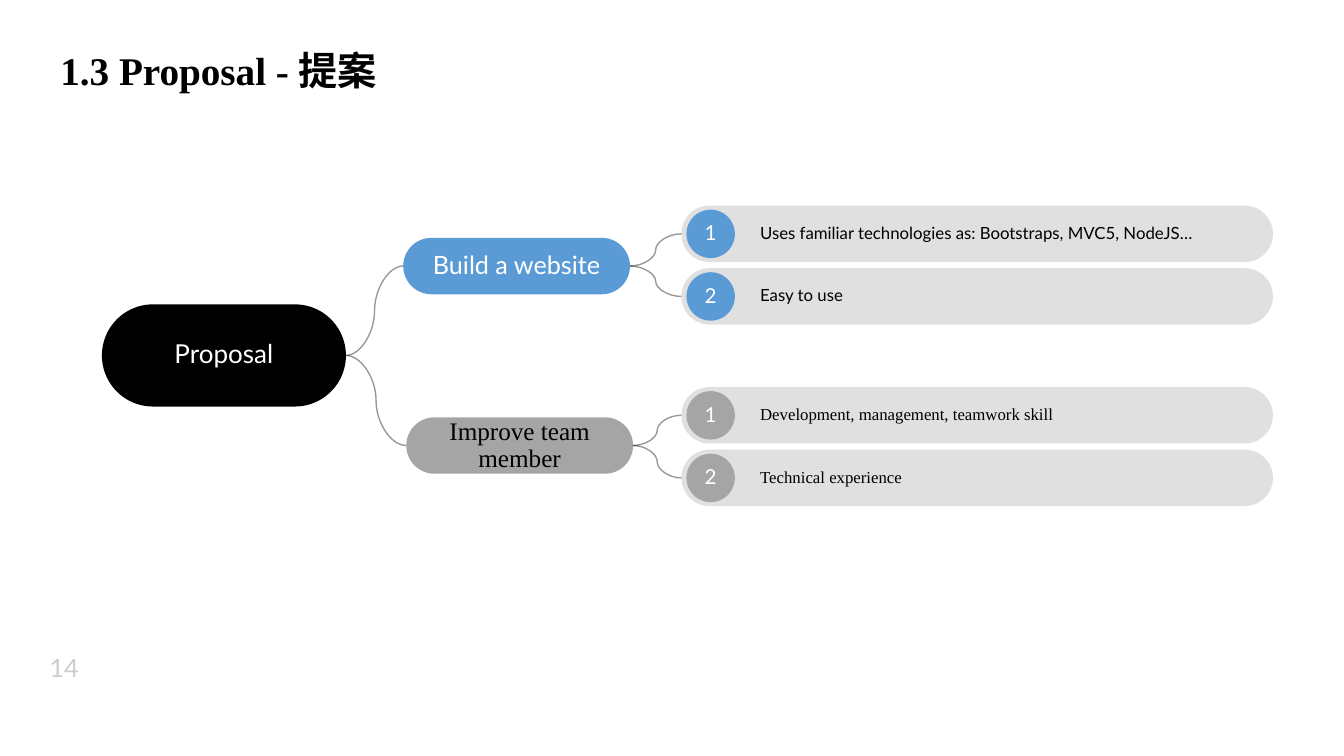
from lxml.etree import SubElement
from pptx import Presentation
from pptx.dml.color import RGBColor
from pptx.enum.shapes import MSO_CONNECTOR, MSO_SHAPE
from pptx.enum.text import MSO_ANCHOR, PP_ALIGN
from pptx.oxml.ns import qn
from pptx.util import Pt

BLACK = RGBColor(0x00, 0x00, 0x00)
WHITE = RGBColor(0xFF, 0xFF, 0xFF)
BLUE = RGBColor(0x5B, 0x9B, 0xD5)
GRAY = RGBColor(0xA5, 0xA5, 0xA5)
SANS, SERIF = "Lato", "Times New Roman"

# Layout in points
TOPIC_W, ROW_H, ROW_PITCH = 162, 40.3, 44.7
BAR_X, BAR_W = 486.7, 422.6
BADGE, BADGE_DX = 34.6, 3.6


def set_alpha(element, percent):
    color = next(element.iter(qn("a:srgbClr")))
    SubElement(color, qn("a:alpha")).set("val", str(percent * 1000))


class MindMap:
    """Holds the slide and draws each kind of element in one style."""

    def __init__(self, slide):
        self.shapes = slide.shapes

    def add_text(self, s, text, size, font=SANS, color=WHITE, bold=False,
                 align=PP_ALIGN.CENTER, spacing=0.9, insets=(3.6,) * 4,
                 wrap=True, anchor=MSO_ANCHOR.MIDDLE):
        tf = s.text_frame
        left, top, right, bottom = map(Pt, insets)
        frame = {"margin_left": left, "margin_top": top, "margin_right": right,
                 "margin_bottom": bottom, "word_wrap": wrap,
                 "vertical_anchor": anchor}
        p = tf.paragraphs[0]
        r = p.add_run()
        r.text = text
        formats = ((tf, frame),
                   (p, {"alignment": align, "line_spacing": spacing}),
                   (r.font, {"size": Pt(size), "name": font, "bold": bold}))
        for target, values in formats:
            for name, value in values.items():
                setattr(target, name, value)
        r.font.color.rgb = color
        return r

    def textbox(self, x, y, w, h, text, size, **style):
        s = self.shapes.add_textbox(Pt(x), Pt(y), Pt(w), Pt(h))
        return self.add_text(s, text, size, align=PP_ALIGN.LEFT, **style)

    def shape(self, kind, x, y, w, h, fill, text, size, **style):
        s = self.shapes.add_shape(kind, Pt(x), Pt(y), Pt(w), Pt(h))
        s.shadow.inherit = False
        s.fill.solid()
        s.fill.fore_color.rgb = fill
        s.line.fill.background()
        self.add_text(s, text, size, **style)
        return s

    def pill(self, *args, **style):
        s = self.shape(MSO_SHAPE.ROUNDED_RECTANGLE, *args, **style)
        s.adjustments[0] = 0.5
        return s

    def row(self, y, number, text, color, font):
        bar = self.pill(BAR_X, y, BAR_W, ROW_H, BLACK, text, 12, font=font,
                        color=BLACK, align=PP_ALIGN.LEFT, spacing=0.89,
                        insets=(50.4, 3.6, 0, 3.6))
        set_alpha(bar._element.spPr, 12)
        self.shape(MSO_SHAPE.OVAL, BAR_X + BADGE_DX, y + (ROW_H - BADGE) / 2,
                   BADGE, BADGE, color, str(number), 14.7,
                   insets=(0,) * 4, wrap=False)
        return bar

    def branch(self, start, end):
        s = self.shapes.add_connector(MSO_CONNECTOR.CURVE, 0, 0, 0, 0)
        s.begin_connect(start, 3)
        s.end_connect(end, 1)
        s.line.color.rgb = BLACK
        s.line.width = Pt(1)
        set_alpha(s._element.spPr, 40)
        SubElement(s._element.spPr, qn("a:effectLst"))


def main():
    prs = Presentation()
    prs.slide_width, prs.slide_height = Pt(960), Pt(540)
    m = MindMap(prs.slides.add_slide(prs.slide_layouts[6]))

    # Title and page number
    m.textbox(36, 33.1, 356.4, 104.4, "1.3 Proposal - 提案", 28, font=SERIF,
              color=BLACK, bold=True, insets=(7.2, 3.6, 7.2, 3.6),
              anchor=MSO_ANCHOR.TOP)
    number = m.textbox(26, 463.7, 69, 26, "14", 18, color=BLACK, spacing=1.0,
                       insets=(9.4, 5, 9.4, 5), wrap=False)
    set_alpha(number._r, 20)

    # Root, topics and their rows
    root = m.pill(72.8, 217.4, 174.3, 73, BLACK, "Proposal", 18.6)
    topics = (
        ("Build a website", 288, 169.9, BLUE, WHITE, SANS, 146.9,
         ("Uses familiar technologies as: Bootstraps, MVC5, NodeJS…",
          "Easy to use")),
        ("Improve team member", 290.2, 298.1, GRAY, BLACK, SERIF, 276.5,
         ("Development, management, teamwork skill",
          "Technical experience")),
    )
    links = []
    for name, x, y, fill, color, font, rows_y, items in topics:
        topic = m.pill(x, y, TOPIC_W, ROW_H, fill, name, 18, font=font,
                       color=color)
        links.append((root, topic))
        for i, item in enumerate(items):
            bar = m.row(rows_y + i * ROW_PITCH, i + 1, item, fill, font)
            links.append((topic, bar))

    # Branches
    for start, end in links:
        m.branch(start, end)

    prs.save("out.pptx")


if __name__ == "__main__":
    main()
